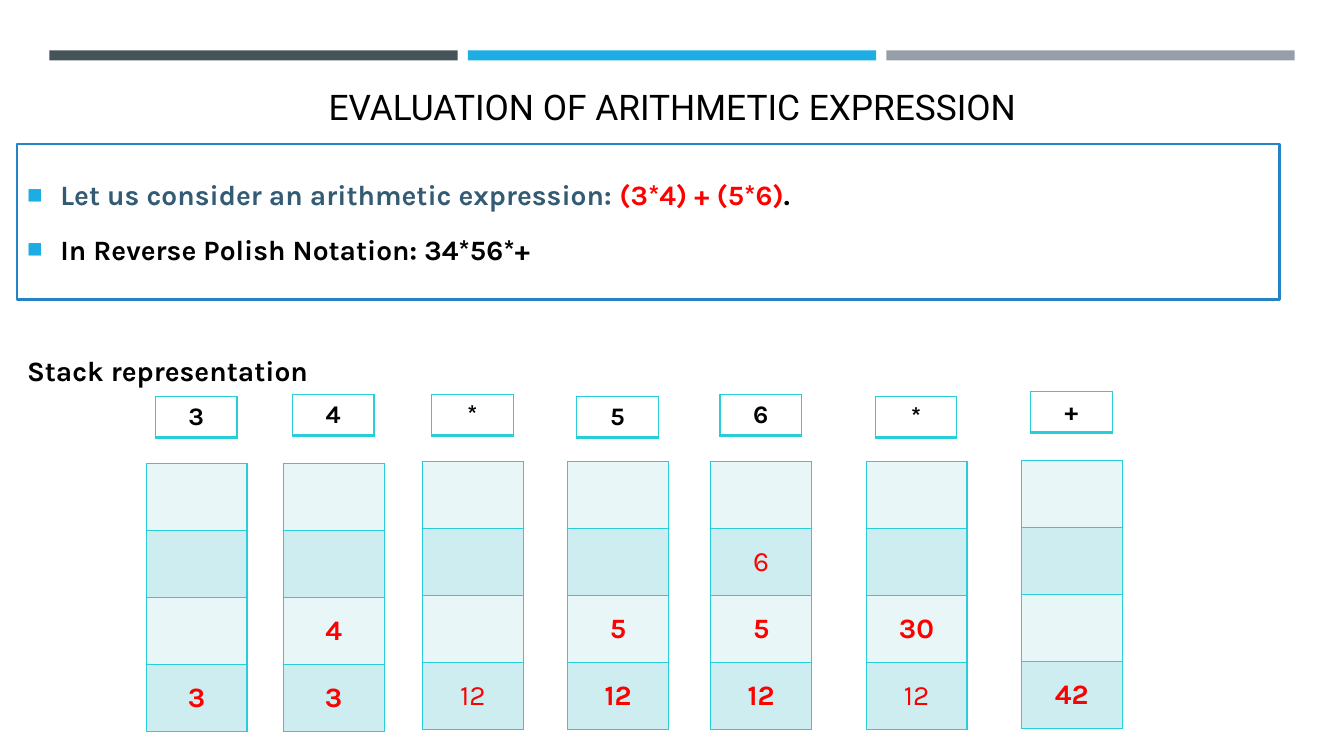
from lxml import etree
from pptx import Presentation
from pptx.dml.color import RGBColor
from pptx.enum.shapes import MSO_SHAPE
from pptx.enum.text import MSO_ANCHOR, MSO_AUTO_SIZE, PP_ALIGN
from pptx.oxml.ns import qn
from pptx.util import Pt

RECT = MSO_SHAPE.RECTANGLE
MIDDLE, BOTTOM = MSO_ANCHOR.MIDDLE, MSO_ANCHOR.BOTTOM
LEFT, CENTER, JUSTIFY = PP_ALIGN.LEFT, PP_ALIGN.CENTER, PP_ALIGN.JUSTIFY
NO_FIT = MSO_AUTO_SIZE.NONE

EMU_PER_PX = 9144  # 100 px to the inch
BLACK, RED, SLATE, CYAN = "000000", "FF0000", "335B74", "1CADE4"
BORDER = "27CED7"
STACK_FILLS = ["E8F6F8", "CDEDF0"]
STACK_DEPTH = 4

BARS = [(49, "465359"), (464, CYAN), (879, "969FA7")]
EXPRESSION = [
    [("Let us consider an arithmetic expression: ", SLATE), ("(3*4) + (5*6)", RED), (".", BLACK)],
    [("In Reverse Polish Notation: 34*56*+", BLACK)],
]
# symbol, stack left, stack top, symbol top, values from the bottom, level in regular weight
STEPS = [
    ("3", 145, 460, 393, ["3"], None),
    ("4", 281, 460, 391, ["3", "4"], None),
    ("*", 419, 458, 391, ["12"], 0),
    ("5", 563, 458, 393, ["12", "5"], None),
    ("6", 705, 458, 391, ["12", "5", "6"], 2),
    ("*", 859, 458, 393, ["12", "30"], 0),
    ("+", 1013, 457, 388, ["42"], None),
]


def px(n):
    return round(n * EMU_PER_PX)


def rgb(value):
    return RGBColor.from_string(value)


def add_text(p, text, size=20, color=BLACK, bold=True, font="Karla"):
    r = p.add_run()
    r.text = text
    r.font.size, r.font.bold, r.font.name = Pt(size), bold, font
    r.font.color.rgb = rgb(color)


def add_bullet(p, char, color, percent):
    pPr = p._p.get_or_add_pPr()
    pPr.set("marL", str(px(33)))
    pPr.set("indent", str(px(-33)))
    bu_color = etree.SubElement(pPr, qn("a:buClr"))
    etree.SubElement(bu_color, qn("a:srgbClr"), val=color)
    etree.SubElement(pPr, qn("a:buSzPct"), val=str(percent * 1000))
    etree.SubElement(pPr, qn("a:buFont"), typeface="Arial")
    etree.SubElement(pPr, qn("a:buChar"), char=char)


def set_borders(cell, bottom):
    """Draw 1 pt sides and a bottom of the given width; call before filling the cell."""
    tcPr = cell._tc.get_or_add_tcPr()
    for side, width in (("L", 1), ("R", 1), ("T", 1), ("B", bottom)):
        ln = etree.SubElement(tcPr, qn("a:ln" + side), w=str(Pt(width)))
        solid = etree.SubElement(ln, qn("a:solidFill"))
        etree.SubElement(solid, qn("a:srgbClr"), val=BORDER)


class Deck:
    def __init__(self, width, height):
        self.prs = Presentation()
        self.prs.slide_width, self.prs.slide_height = px(width), px(height)
        self.s = self.prs.slides.add_slide(self.prs.slide_layouts[5])

    def title(self, box, text):
        sp = self.s.shapes.title
        sp.left, sp.top, sp.width, sp.height = map(px, box)
        tf = sp.text_frame
        tf.auto_size, tf.vertical_anchor, tf.word_wrap = NO_FIT, BOTTOM, True
        p = tf.paragraphs[0]
        p.alignment = CENTER
        add_text(p, text, size=25.2, bold=False, font="Roboto")

    def rect(self, box, fill, line=None):
        sp = self.s.shapes.add_shape(RECT, *map(px, box))
        sp.shadow.inherit = False
        sp.fill.solid()
        sp.fill.fore_color.rgb = rgb(fill)
        if line:
            sp.line.color.rgb, sp.line.width = rgb(line), Pt(1.75)
        else:
            sp.line.fill.background()
        return sp

    def textbox(self, box):
        return self.s.shapes.add_textbox(*map(px, box))

    def paragraphs(self, sp, lines, align=LEFT, bullet=False):
        tf = sp.text_frame
        tf.word_wrap, tf.vertical_anchor = True, MIDDLE
        for i, runs in enumerate(lines):
            p = tf.add_paragraph() if i else tf.paragraphs[0]
            p.alignment, p.space_before, p.space_after = align, Pt(5), Pt(10)
            if bullet:
                add_bullet(p, "■", CYAN, 92)
            for text, color in runs:
                add_text(p, text, color=color)

    def column(self, box, rows, bottom=1):
        """Add a one-column table; each row is (text, fill, text format)."""
        table = self.s.shapes.add_table(len(rows), 1, *map(px, box)).table
        table.first_row = table.horz_banding = False
        for i, (text, fill, style) in enumerate(rows):
            table.rows[i].height = px(box[3] / len(rows))
            cell = table.cell(i, 0)
            cell.vertical_anchor = MIDDLE
            set_borders(cell, bottom)
            if fill:
                cell.fill.solid()
                cell.fill.fore_color.rgb = rgb(fill)
            else:
                cell.fill.background()
            if text:
                p = cell.text_frame.paragraphs[0]
                p.alignment = CENTER
                add_text(p, text, **style)

    def step(self, symbol, left, stack_top, symbol_top, values, regular):
        """Add one stack with the symbol just read above it."""
        rows = []
        for i in range(STACK_DEPTH):
            level = STACK_DEPTH - 1 - i
            text = values[level] if level < len(values) else ""
            rows.append((text, STACK_FILLS[i % 2], {"color": RED, "bold": level != regular}))
        self.column((left, stack_top, 100, 266), rows)
        self.column((left + 9, symbol_top, 81, 41), [(symbol, None, {"size": 18})], bottom=2)


def main():
    deck = Deck(1333, 750)
    for left, color in BARS:
        deck.rect((left, 50, 405, 10), color)
    deck.title((64, 80, 1206, 52), "EVALUATION OF ARITHMETIC EXPRESSION")
    panel = deck.rect((17, 143, 1252, 154), "FFFFFF", line="2683C6")
    deck.paragraphs(panel, EXPRESSION, align=JUSTIFY, bullet=True)
    caption = deck.textbox((17, 338, 1252, 58))
    deck.paragraphs(caption, [[("Stack representation", BLACK)]])
    for step in STEPS:
        deck.step(*step)
    deck.prs.save("out.pptx")


if __name__ == "__main__":
    main()
